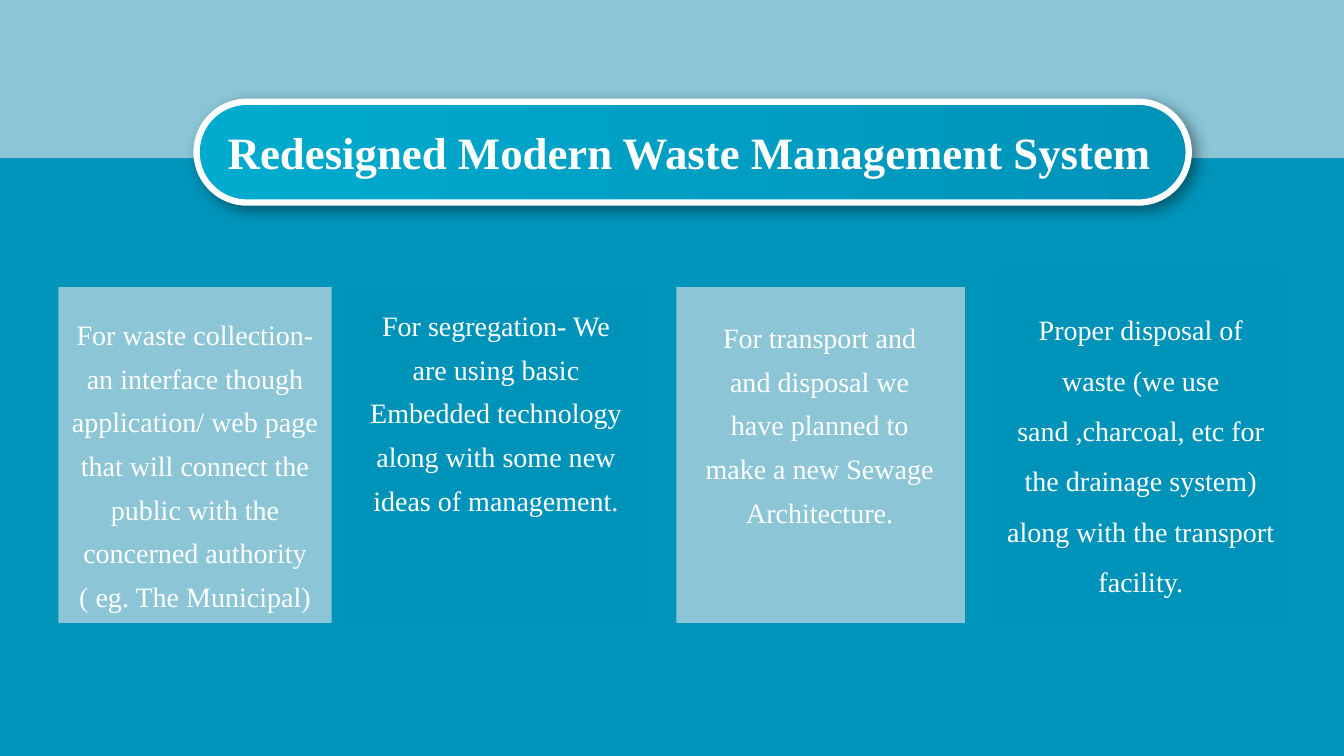
import pptx
import pptx.dml.color
import pptx.enum.shapes
import pptx.enum.text
import pptx.oxml
import pptx.oxml.ns
import pptx.util

Inches = pptx.util.Inches
Pt = pptx.util.Pt
RGBColor = pptx.dml.color.RGBColor
Shape = pptx.enum.shapes.MSO_SHAPE
Anchor = pptx.enum.text.MSO_ANCHOR

WHITE = RGBColor(0xFF, 0xFF, 0xFF)
OCEAN = RGBColor(0x00, 0x94, 0xBA)
DEEP = RGBColor(0x00, 0x93, 0xBA)
BRIGHT = RGBColor(0x00, 0xAB, 0xCE)
MIST = RGBColor(0x8B, 0xC5, 0xD6)

TITLE = "Redesigned Modern Waste Management System"
CARDS = [
    ((0.58, 2.85, 2.71, 3.33), MIST, (0.58, 3, 2.71, 3.16),
     ["For waste collection- an interface though application/ web page "
      "that will connect the public with the concerned authority",
      "( eg. The Municipal)"]),
    ((3.43, 2.85, 2.94, 3.33), DEEP, (3.54, 2.91, 2.76, 2.29),
     ["For segregation- We are using basic Embedded technology along "
      "with some new ideas of management."]),
    ((6.71, 2.85, 2.86, 3.33), MIST, (6.86, 3.03, 2.54, 2.29),
     ["For transport and and disposal we have planned to make a new "
      "Sewage Architecture."]),
]
DISPOSAL = ("Proper disposal of waste (we use sand ,charcoal, etc for the "
            "drainage system) along with the transport facility.")


class SlideBuilder:
    """Hold the slide style and add each kind of element to the page."""

    font = "Times New Roman"

    def __init__(self, page):
        self.page = page
        fill = page.background.fill
        fill.solid()
        fill.fore_color.rgb = OCEAN

    def panel(self, area, color):
        shape = self.page.shapes.add_shape(Shape.RECTANGLE, *map(Inches, area))
        shape.shadow.inherit = False
        shape.fill.solid()
        shape.fill.fore_color.rgb = color
        shape.line.fill.background()
        return shape

    def pill(self, area):
        shape = self.page.shapes.add_shape(
            Shape.ROUNDED_RECTANGLE, *map(Inches, area))
        shape.adjustments[0] = 0.5
        shape.fill.gradient()
        shape.fill.gradient_angle = 0
        for stop, color in zip(shape.fill.gradient_stops, (BRIGHT, DEEP)):
            stop.color.rgb = color
        shape.line.color.rgb = WHITE
        shape.line.width = Pt(4.5)
        shape.shadow.inherit = False
        effects = shape.element.spPr.find(pptx.oxml.ns.qn("a:effectLst"))
        effects.append(pptx.oxml.parse_xml(
            f'<a:outerShdw {pptx.oxml.ns.nsdecls("a")} blurRad="{Pt(10)}" '
            f'dist="{Pt(4)}" dir="2700000" algn="tl" rotWithShape="0">'
            '<a:srgbClr val="000000"><a:alpha val="40000"/></a:srgbClr>'
            '</a:outerShdw>'))

    def fill_text(self, box, lines, size=20, spacing=1.3, bold=False,
                  anchor=Anchor.TOP):
        frame = box.text_frame
        frame_format = {"word_wrap": True, "vertical_anchor": anchor,
                        "auto_size": pptx.enum.text.MSO_AUTO_SIZE.NONE}
        for name, value in frame_format.items():
            setattr(frame, name, value)
        frame.text = "\n".join(lines)
        font_format = {"name": self.font, "size": Pt(size), "bold": bold}
        for para in frame.paragraphs:
            para.alignment = pptx.enum.text.PP_ALIGN.CENTER
            para.line_spacing = spacing
            for span in para.runs:
                for name, value in font_format.items():
                    setattr(span.font, name, value)
                span.font.color.rgb = WHITE

    def title(self, area, words):
        box = self.page.shapes.title
        for name, value in zip(("left", "top", "width", "height"), area):
            setattr(box, name, Inches(value))
        self.page.shapes.element.append(box.element)
        self.fill_text(box, [words], size=32, spacing=1.0, bold=True)

    def label(self, area, lines):
        box = self.page.shapes.add_textbox(*map(Inches, area))
        self.fill_text(box, lines)


def main():
    deck = pptx.Presentation()
    deck.slide_width = Inches(13.33)
    deck.slide_height = Inches(7.5)
    builder = SlideBuilder(deck.slides.add_slide(deck.slide_layouts[5]))
    builder.panel((0, 0, 13.33, 1.57), MIST)
    builder.pill((1.95, 1.01, 9.84, 1))
    builder.title((1.74, 1.19, 10.2, 0.64), TITLE)
    for panel_area, color, text_area, lines in CARDS:
        builder.panel(panel_area, color)
        builder.label(text_area, lines)
    disposal = builder.panel((9.88, 2.68, 2.87, 3.51), DEEP)
    builder.fill_text(disposal, [DISPOSAL], spacing=1.5, anchor=Anchor.MIDDLE)
    deck.save("out.pptx")


if __name__ == "__main__":
    main()
